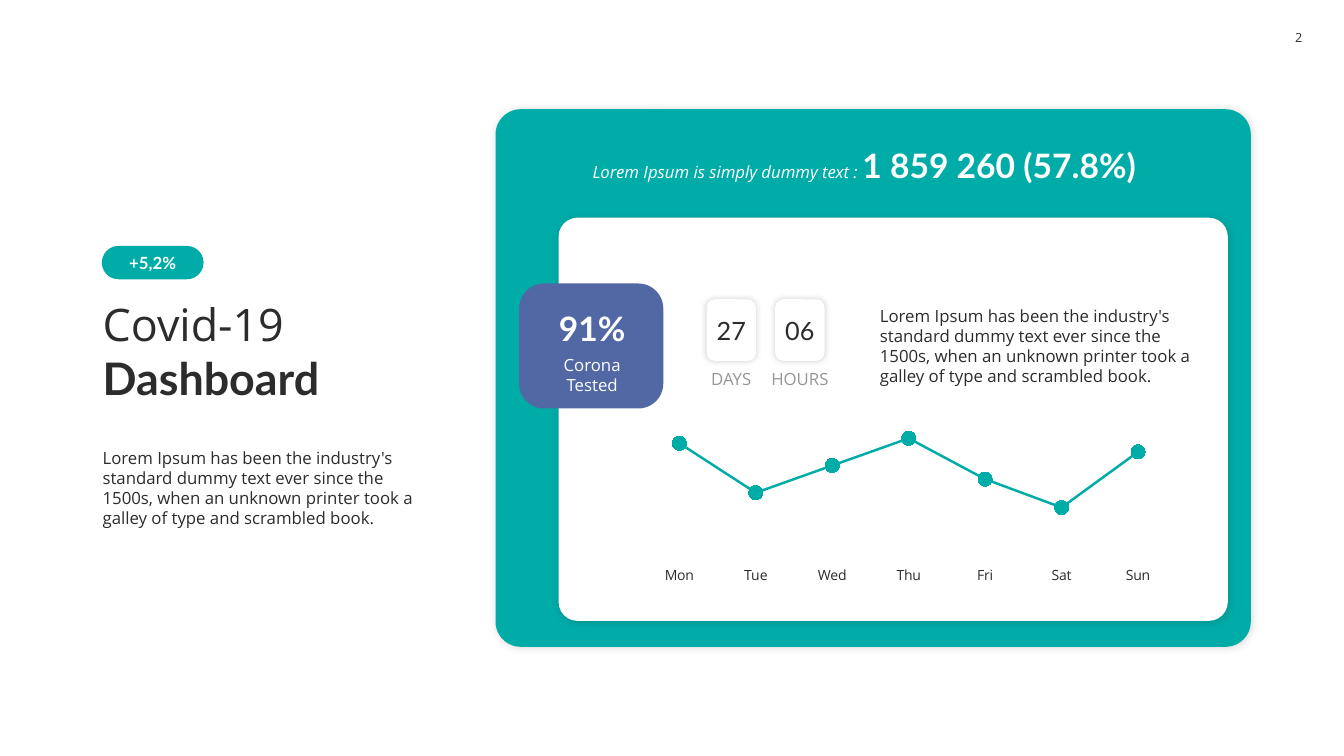
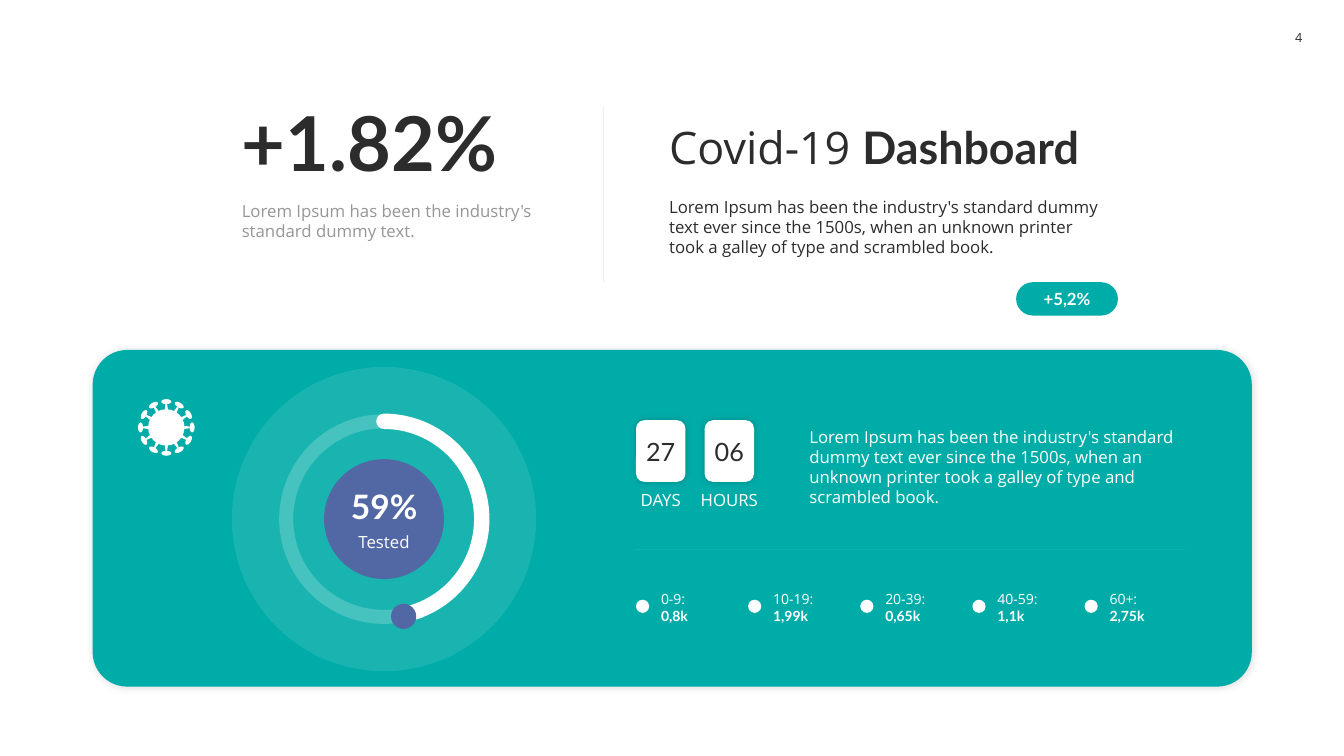
"""Build two dashboard slides that share one theme."""
from dataclasses import dataclass
from math import cos, radians, sin
from typing import NamedTuple

from lxml.etree import SubElement
from pptx import Presentation
from pptx.chart.data import CategoryChartData as Data
from pptx.dml.color import RGBColor as Rgb
from pptx.enum.chart import XL_CHART_TYPE as Kind
from pptx.enum.chart import XL_MARKER_STYLE as Mark
from pptx.enum.chart import XL_TICK_MARK as Tick
from pptx.enum.shapes import MSO_CONNECTOR as Wire
from pptx.enum.shapes import MSO_SHAPE as Form
from pptx.enum.text import MSO_ANCHOR as Anchor
from pptx.enum.text import PP_ALIGN as Align
from pptx.oxml.ns import qn
from pptx.util import Pt


@dataclass(frozen=True)
class Theme:
    """Colours, fonts and type sizes."""
    teal: str = "00ACA8"
    blue: str = "5268A5"
    ink: str = "2C2C2C"
    grey: str = "969696"
    white: str = "FFFFFF"
    sans: str = "Open Sans"
    lato: str = "Lato"
    tiny: float = 9
    small: float = 10
    body: float = 12
    count: float = 18
    big: float = 24
    title: float = 32
    huge: float = 54


T = Theme()


class Box(NamedTuple):
    """Left, top, width and height in points."""
    x: float
    y: float
    w: float
    h: float


class Glow(NamedTuple):
    """Shadow strength, blur, distance and angle."""
    alpha: int
    blur: float
    dist: float
    angle: int = 45


@dataclass(frozen=True)
class Bit:
    """One run of text with its style."""
    text: str
    size: float = T.body
    color: str = T.ink
    face: str = T.sans
    bold: bool = False
    slant: bool = False


SOFT = Glow(15, 6, 1)
EVEN = Glow(20, 5, 0)
LOREM = ("Lorem Ipsum has been the industry's standard dummy text ever since the 1500s, "
         "when an unknown printer took a galley of type and scrambled book.")
TITLE = [Bit("Covid-19 ", T.title), Bit("Dashboard", T.title, face=T.lato, bold=True)]
DAYS = {"Mon": 96, "Tue": 56, "Wed": 78, "Thu": 100, "Fri": 67, "Sat": 44, "Sun": 89}
AGES = {"0-9:": "0,8k", "10-19:": "1,99k", "20-39:": "0,65k", "40-59:": "1,1k", "60+:": "2,75k"}


def strong(text: str, size: float, color: str = T.white) -> Bit:
    """Return a bold run."""
    return Bit(text, size, color, T.lato, True)


def place(box: Box) -> list:
    """Turn a box into lengths."""
    return [Pt(round(side, 2)) for side in box]


def fade(item, share: int) -> None:
    """Make the colour of a shape or line see-through."""
    color = item.element.spPr.find(".//" + qn("a:srgbClr"))
    SubElement(color, qn("a:alpha"), val=str(share * 1000))


def cast(shape, glow: Glow) -> None:
    """Add an outer shadow."""
    group = shape.element.spPr.find(qn("a:effectLst"))
    outer = SubElement(group, qn("a:outerShdw"), blurRad=str(Pt(glow.blur)),
                       dist=str(Pt(glow.dist)), dir=str(glow.angle * 60000),
                       algn="ctr", rotWithShape="0")
    color = SubElement(outer, qn("a:srgbClr"), val="000000")
    SubElement(color, qn("a:alpha"), val=str(glow.alpha * 1000))


def draw(slide, form, box: Box, fill: str = "", adj: tuple = (), glow: Glow | None = None,
         line: str = "", width: float = 1, turn: float = 0):
    """Draw a preset shape."""
    shape = slide.shapes.add_shape(form, *place(box))
    shape.shadow.inherit = False
    shape.rotation = turn
    for spot, value in enumerate(adj):
        shape.adjustments[spot] = value
    if fill:
        shape.fill.solid()
        shape.fill.fore_color.rgb = Rgb.from_string(fill)
    else:
        shape.fill.background()
    if line:
        shape.line.color.rgb = Rgb.from_string(line)
        shape.line.width = Pt(width)
    else:
        shape.line.fill.background()
    if glow:
        cast(shape, glow)
    return shape


def disc(slide, x: float, y: float, size: float, fill: str = "", **style):
    """Draw a circle around a centre."""
    return draw(slide, Form.OVAL, Box(x - size / 2, y - size / 2, size, size), fill, **style)


def write(shape, lines: list[list[Bit]], align=Align.LEFT, anchor=Anchor.TOP,
          inset: tuple = (7.2, 3.6), wrap: bool = True) -> None:
    """Set the text of a shape and style its runs."""
    frame = shape.text_frame
    frame.word_wrap = wrap
    frame.vertical_anchor = anchor
    frame.margin_left = frame.margin_right = Pt(inset[0])
    frame.margin_top = frame.margin_bottom = Pt(inset[1])
    frame.text = "\n".join(line[0].text for line in lines)
    for para, line in zip(frame.paragraphs, lines):
        para.alignment = align
        for bit in line[1:]:
            para.add_run().text = bit.text
        for run, bit in zip(para.runs, line):
            font = run.font
            font.size, font.name = Pt(bit.size), bit.face
            font.bold, font.italic = bit.bold, bit.slant
            font.color.rgb = Rgb.from_string(bit.color)


def label(slide, box: Box, *lines: list[Bit], **style) -> None:
    """Add a text box."""
    write(slide.shapes.add_textbox(*place(box)), list(lines), **style)


def rule(slide, start: tuple, end: tuple, color: str) -> None:
    """Draw a faint hairline."""
    wire = slide.shapes.add_connector(Wire.STRAIGHT, *(Pt(side) for side in start + end))
    wire.line.color.rgb = Rgb.from_string(color)
    wire.line.width = Pt(0.5)
    fade(wire, 10)
    SubElement(wire.element.spPr, qn("a:effectLst"))


def page(slide, number: int) -> None:
    """Add the page number."""
    label(slide, Box(913.7, 13, 28, 28), [Bit(str(number), T.tiny)], align=Align.CENTER,
          anchor=Anchor.MIDDLE, inset=(0, 3.6), wrap=False)


def pill(slide, x: float, y: float) -> None:
    """Add the rounded growth badge."""
    badge = draw(slide, Form.ROUNDED_RECTANGLE, Box(x, y, 72.7, 23.8), T.teal, (0.5,))
    write(badge, [[strong("+5,2%", T.body)]], Align.CENTER, Anchor.MIDDLE, (0, 0))


def timer(slide, x: float, y: float, color: str) -> None:
    """Add the day and hour tiles."""
    for step, (count, unit) in enumerate((("27", "DAYS"), ("06", "HOURS"))):
        left = x + step * 49
        tile = draw(slide, Form.ROUNDED_RECTANGLE, Box(left, y, 35.3, 44), T.white, glow=EVEN)
        write(tile, [[Bit(count, T.count, face=T.lato)]], Align.CENTER, Anchor.MIDDLE, (0, 3.6))
        label(slide, Box(left - 6.4, y + 46.1, 48.1, 21.6), [Bit(unit, color=color)],
              align=Align.CENTER, inset=(2.9, 3.6))


def share(slide, x: float, y: float, width: float, gap: float, rate: str, name: str) -> None:
    """Add a centred rate above its name."""
    label(slide, Box(x, y, width, 36), [strong(rate, T.big)],
          align=Align.CENTER, anchor=Anchor.BOTTOM)
    label(slide, Box(x, y + gap, width, 36), [Bit(name, color=T.white)], align=Align.CENTER)


def germ(slide, x: float, y: float) -> None:
    """Draw the round icon with twelve spikes."""
    disc(slide, x, y, 26, T.white)
    for turn in range(0, 360, 30):
        for form, reach, w, h, adj in ((Form.OVAL, 18.4, 7.2, 3.6, ()),
                                       (Form.TRAPEZOID, 14.5, 2.4, 4.4, (0.27,))):
            left = x + reach * sin(radians(turn)) - w / 2
            top = y - reach * cos(radians(turn)) - h / 2
            draw(slide, form, Box(left, top, w, h), T.white, adj, turn=turn)


def trend(slide, box: Box) -> None:
    """Add the weekly line chart."""
    data = Data()
    data.categories = list(DAYS)
    data.add_series("Series 1", list(DAYS.values()))
    chart = slide.shapes.add_chart(Kind.LINE_MARKERS_STACKED, *place(box), data).chart
    chart.has_legend = chart.has_title = False
    chart.font.size, chart.font.name = Pt(T.body), T.sans
    chart.font.color.rgb = Rgb.from_string(T.ink)
    days, scale = chart.category_axis, chart.value_axis
    days.major_tick_mark = days.minor_tick_mark = Tick.NONE
    days.format.line.fill.background()
    days.tick_labels.font.size = Pt(T.small)
    scale.has_major_gridlines = scale.visible = False
    scale.minimum_scale, scale.maximum_scale = 0, 100
    plot = chart.plots[0]
    plot.vary_by_categories = False
    series = plot.series[0]
    series.smooth = False
    series.format.line.width = Pt(1.75)
    series.format.line.color.rgb = Rgb.from_string(T.teal)
    mark = series.marker
    mark.style, mark.size = Mark.CIRCLE, 10
    mark.format.fill.solid()
    mark.format.fill.fore_color.rgb = Rgb.from_string(T.teal)
    mark.format.line.fill.background()
    area = chart.element.find(".//" + qn("c:plotArea"))
    for old in area.findall(qn("c:layout")):
        area.remove(old)
    frame = SubElement(area, qn("c:layout"))
    area.insert(0, frame)
    inner = SubElement(frame, qn("c:manualLayout"))
    for tag, value in (("layoutTarget", "inner"), ("xMode", "edge"), ("yMode", "edge"),
                       ("x", "0.02"), ("y", "0.1"), ("w", "0.96"), ("h", "0.73")):
        SubElement(inner, qn("c:" + tag), val=value)


def dial(slide, x: float, y: float) -> None:
    """Draw the round progress gauge."""
    fade(disc(slide, x, y, 217.4, T.white), 10)
    disc(slide, x, y, 85.7, T.blue)
    fade(disc(slide, x, y, 139.7, line=T.white, width=10), 20)
    arc = draw(slide, Form.ARC, Box(x - 69.85, y - 69.85, 139.7, 139.7),
               adj=(162, 44.96), line=T.white, width=11)
    arc.element.spPr.find(qn("a:ln")).set("cap", "rnd")
    disc(slide, x + 14, y + 69.5, 18, T.blue)
    share(slide, x - 42.85, y - 27.4, 85.7, 33.2, "59%", "Tested")


def first(slide) -> None:
    """Build the weekly slide."""
    draw(slide, Form.ROUNDED_RECTANGLE, Box(354, 78, 539.5, 384), T.teal, (0.047,), SOFT)
    page(slide, 2)
    label(slide, Box(66.2, 207.4, 242, 85), TITLE, anchor=Anchor.BOTTOM)
    label(slide, Box(66.2, 316, 242, 65.5), [Bit(LOREM)])
    pill(slide, 72.7, 175.7)
    draw(slide, Form.ROUNDED_RECTANGLE, Box(399, 155.5, 478, 288), T.white, (0.047,), SOFT)
    label(slide, Box(416.2, 100, 432, 36),
          [Bit("Lorem Ipsum is simply dummy text : ", color=T.white, slant=True),
           strong("1 859 260 (57.8%)", T.big)])
    draw(slide, Form.ROUNDED_RECTANGLE, Box(370.8, 202.5, 103, 89.3), T.blue, (0.2,))
    share(slide, 378.7, 216, 88.6, 33.8, "91%", "Corona Tested")
    timer(slide, 504.7, 213.8, T.grey)
    label(slide, Box(621.4, 214.6, 242, 65.5), [Bit(LOREM)])
    trend(slide, Box(450, 301, 398.2, 121))


def second(slide) -> None:
    """Build the age group slide."""
    page(slide, 4)
    label(slide, Box(165.6, 64, 242, 72.7), [strong("+1.82%", T.huge, T.ink)],
          anchor=Anchor.BOTTOM)
    label(slide, Box(165.6, 139.7, 242, 36),
          [Bit("Lorem Ipsum has been the industry's standard dummy text.", color=T.grey)])
    label(slide, Box(470.9, 81.4, 327.6, 46), TITLE, anchor=Anchor.BOTTOM)
    label(slide, Box(470.9, 136.8, 327.6, 51), [Bit(LOREM)])
    pill(slide, 725.8, 201.6)
    draw(slide, Form.ROUNDED_RECTANGLE, Box(66.2, 250, 828, 240.5), T.teal, (0.103,), SOFT)
    dial(slide, 274.3, 370.8)
    germ(slide, 118.8, 305.3)
    timer(slide, 454.3, 300.2, T.white)
    label(slide, Box(571, 301, 275, 65.5), [Bit(LOREM, color=T.white)])
    for step, (ages, count) in enumerate(AGES.items()):
        left = 459 + step * 80.1
        disc(slide, left, 433.1, 9.4, T.white)
        label(slide, Box(left + 6.1, 418.3, 57.6, 31.7), [Bit(ages, T.small, T.white)],
              [strong(count, T.small)], anchor=Anchor.MIDDLE)
    rule(slide, (452.9, 392.4), (846.7, 392.4), T.white)
    rule(slide, (431.3, 201.6), (431.3, 76.3), T.ink)


def main() -> None:
    """Build and save the deck."""
    deck = Presentation()
    deck.slide_width, deck.slide_height = Pt(960), Pt(540)
    for build in (first, second):
        build(deck.slides.add_slide(deck.slide_layouts[6]))
    deck.save("out.pptx")


if __name__ == "__main__":
    main()
